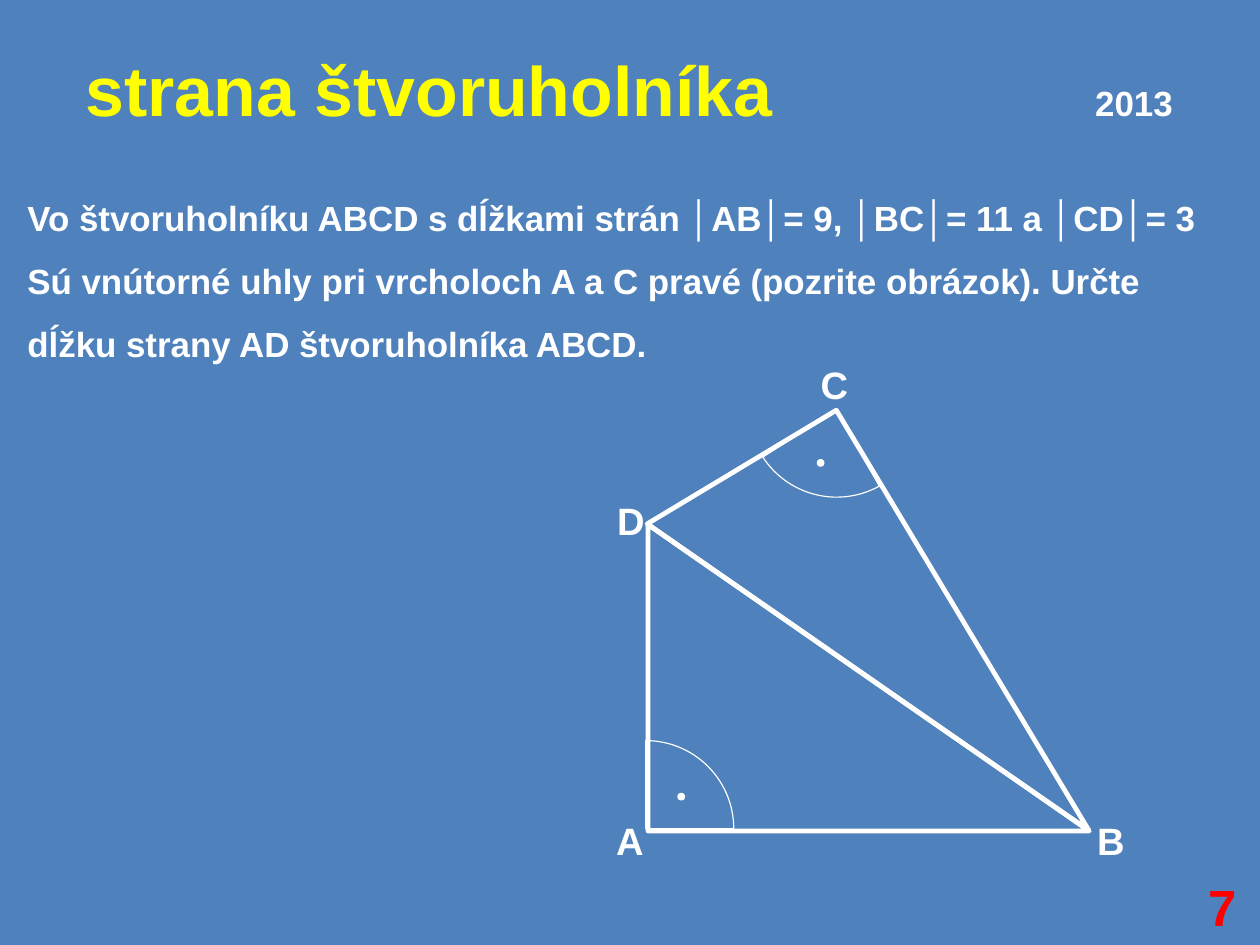
from dataclasses import dataclass
from math import cos, radians, sin

from lxml.etree import SubElement
from pptx import Presentation
from pptx.dml.color import RGBColor
from pptx.enum.shapes import MSO_SHAPE
from pptx.enum.text import MSO_ANCHOR, MSO_AUTO_SIZE, PP_ALIGN
from pptx.oxml.ns import qn
from pptx.util import Inches, Pt

COLORS = {"background": "4F81BD", "title": "FFFF00", "text": "FFFFFF", "number": "FF0000"}
TASK_LINES = [
    "Vo štvoruholníku ABCD s dĺžkami strán │AB│= 9, │BC│= 11 a │CD│= 3",
    "Sú vnútorné uhly pri vrcholoch A a C pravé (pozrite obrázok). Určte",
    "dĺžku strany AD štvoruholníka ABCD.",
]
CM_PER_INCH = 2.54
PAGE_WIDTH_CM = 28
PAGE_HEIGHT_CM = 21
LABEL_SIZE = 0.4
DOT_SIZE = 0.04
ARC_RADIUS = 0.77
ARC_STEPS = 30


@dataclass
class Triangle:
    left: float
    top: float
    width: float
    height: float
    rotation: float = 0


@dataclass
class RightAngle:
    x: float
    y: float
    start: float
    end: float
    dot_x: float
    dot_y: float


@dataclass
class VertexLabel:
    letter: str
    x: float
    y: float


TRIANGLES = [Triangle(6.63, 3.78, 1.93, 4.29, 149), Triangle(5.67, 4.59, 3.86, 2.68)]
RIGHT_ANGLES = [
    RightAngle(5.65, 7.25, -90, 0, 5.96, 6.97),
    RightAngle(7.32, 3.58, 61, 147, 7.18, 4.05),
]
LABELS = [
    VertexLabel("A", 5.51, 7.35),
    VertexLabel("B", 9.72, 7.35),
    VertexLabel("C", 7.3, 3.36),
    VertexLabel("D", 5.52, 4.55),
]


def color(name: str) -> RGBColor:
    """Return a named colour."""
    return RGBColor.from_string(COLORS[name])


def set_font(font, size: float, name: str = "text") -> None:
    """Apply the bold slide font in a size and colour."""
    font.name, font.size, font.bold = "Arial", Pt(size), True
    font.color.rgb = color(name)


def place(box, left: float, top: float, width: float, height: float) -> None:
    """Move a text shape and clear its insets and fitting."""
    box.left, box.top = Inches(left), Inches(top)
    box.width, box.height = Inches(width), Inches(height)
    frame = box.text_frame
    frame.auto_size, frame.word_wrap = MSO_AUTO_SIZE.NONE, True
    frame.vertical_anchor = MSO_ANCHOR.MIDDLE
    frame.margin_left = frame.margin_right = frame.margin_top = frame.margin_bottom = 0


def outline(shape, width: float) -> None:
    """Leave a shape unfilled with a plain white outline."""
    shape.shadow.inherit = False
    shape.fill.background()
    shape.line.color.rgb = color("text")
    shape.line.width = Pt(width)


def write_title(page) -> None:
    """Write the title with the year at a right tab stop."""
    box = page.shapes.title
    place(box, 0.55, 0.33, 9.92, 0.97)
    box.text_frame.margin_left = Inches(0.2)
    para = box.text_frame.paragraphs[0]
    para.alignment, para.line_spacing = PP_ALIGN.LEFT, 0.93
    tabs = SubElement(para._p.get_or_add_pPr(), qn("a:tabLst"))
    SubElement(tabs, qn("a:tab"), pos=str(Inches(9.51)), algn="r")
    set_font(para.font, 44, "title")
    para.add_run().text = "strana štvoruholníka\t"
    year = para.add_run()
    year.text = "2013"
    set_font(year.font, 22)


def write_task(page) -> None:
    """Write the task in the body placeholder without bullets."""
    box = page.placeholders[1]
    place(box, 0.24, 1.54, 10.47, 1.65)
    box.text_frame.text = "\n".join(TASK_LINES)
    for para in box.text_frame.paragraphs:
        para.line_spacing, para.space_before = 1.5, Pt(0)
        properties = para._p.get_or_add_pPr()
        properties.set("marL", "0")
        properties.set("indent", "0")
        SubElement(properties, qn("a:buNone"))
        set_font(para.font, 22)


def write_number(page) -> None:
    """Write the red number in the corner."""
    box = page.shapes.add_textbox(0, 0, 0, 0)
    place(box, 10.57, 7.71, 0.4, 0.5)
    para = box.text_frame.paragraphs[0]
    para.text, para.line_spacing = "7", 0.93
    set_font(para.font, 32, "number")


def draw_triangle(page, triangle: Triangle) -> None:
    """Draw one right triangle."""
    shape = page.shapes.add_shape(
        MSO_SHAPE.RIGHT_TRIANGLE, Inches(triangle.left), Inches(triangle.top),
        Inches(triangle.width), Inches(triangle.height))
    shape.rotation = triangle.rotation
    outline(shape, 3)


def draw_right_angle(page, angle: RightAngle) -> None:
    """Draw a thin sector and its dot."""
    step = (angle.end - angle.start) / ARC_STEPS
    turns = [radians(angle.start + step * index) for index in range(ARC_STEPS + 1)]
    points = [(Inches(angle.x + ARC_RADIUS * cos(turn)), Inches(angle.y + ARC_RADIUS * sin(turn)))
              for turn in turns]
    builder = page.shapes.build_freeform(Inches(angle.x), Inches(angle.y))
    builder.add_line_segments(points, close=True)
    outline(builder.convert_to_shape(), 0)
    dot = page.shapes.add_shape(
        MSO_SHAPE.OVAL, Inches(angle.dot_x - DOT_SIZE / 2), Inches(angle.dot_y - DOT_SIZE / 2),
        Inches(DOT_SIZE), Inches(DOT_SIZE))
    outline(dot, 2)
    dot.fill.solid()
    dot.fill.fore_color.rgb = color("text")


def write_label(page, label: VertexLabel) -> None:
    """Write a vertex letter centred on its point."""
    box = page.shapes.add_textbox(0, 0, 0, 0)
    place(box, label.x - LABEL_SIZE / 2, label.y - LABEL_SIZE / 2, LABEL_SIZE, LABEL_SIZE)
    para = box.text_frame.paragraphs[0]
    para.text, para.alignment = label.letter, PP_ALIGN.CENTER
    set_font(para.font, 24)


def main() -> None:
    """Build and save the slide."""
    deck = Presentation()
    deck.slide_width = Inches(PAGE_WIDTH_CM / CM_PER_INCH)
    deck.slide_height = Inches(PAGE_HEIGHT_CM / CM_PER_INCH)
    page = deck.slides.add_slide(deck.slide_layouts[1])
    page.background.fill.solid()
    page.background.fill.fore_color.rgb = color("background")
    write_title(page)
    write_task(page)
    write_number(page)
    for angle in RIGHT_ANGLES:
        draw_right_angle(page, angle)
    for triangle in TRIANGLES:
        draw_triangle(page, triangle)
    for label in LABELS:
        write_label(page, label)
    deck.save("out.pptx")


if __name__ == "__main__":
    main()
